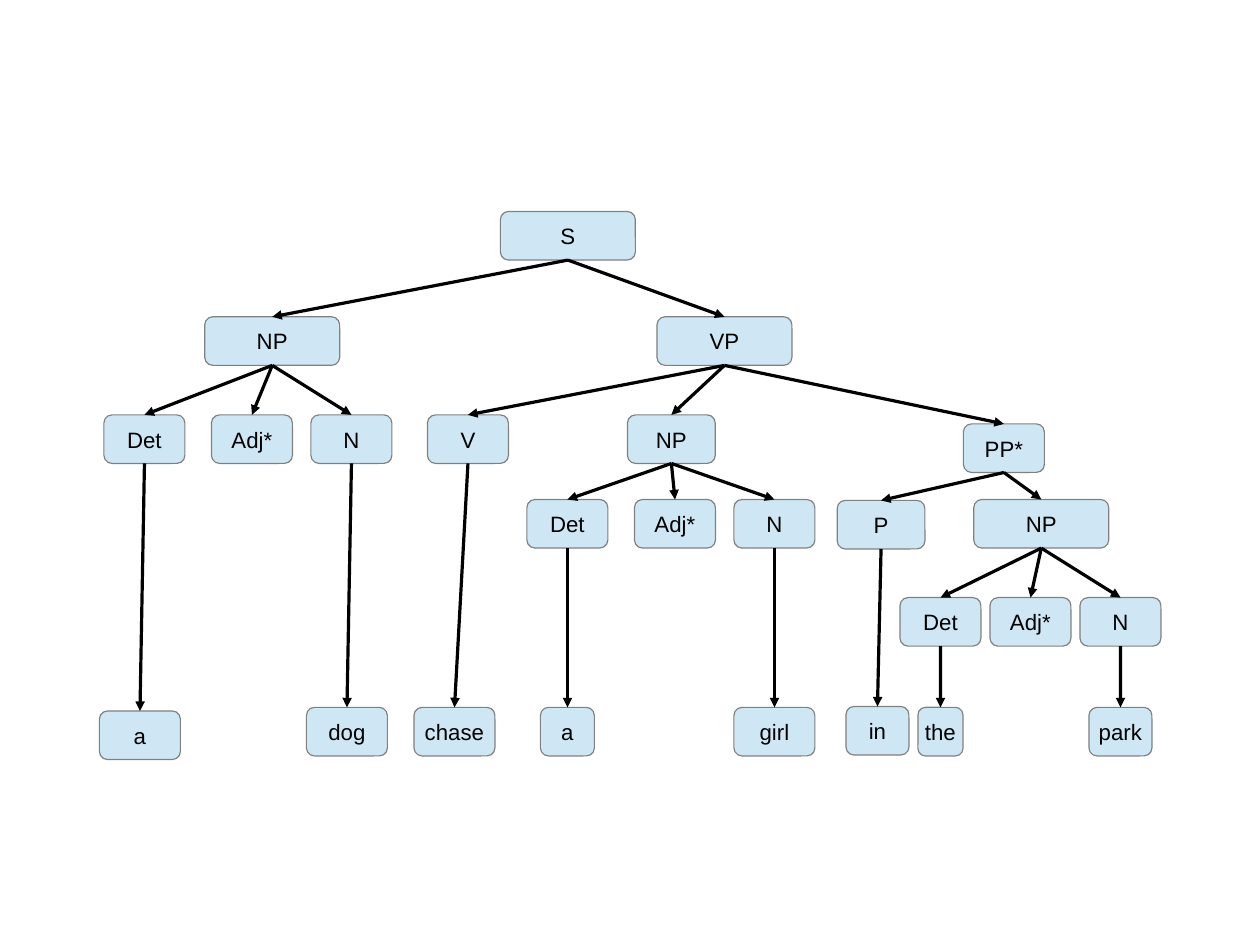
from dataclasses import dataclass

from lxml import etree
from pptx import Presentation
from pptx import util as u
from pptx.dml.color import RGBColor
from pptx.enum import shapes, text
from pptx.oxml import ns


@dataclass(frozen=True)
class Theme:
    fill: RGBColor = RGBColor(0xCF, 0xE7, 0xF5)
    outline: RGBColor = RGBColor(0x80, 0x80, 0x80)
    ink: RGBColor = RGBColor(0, 0, 0)
    font: str = "Arial"
    size: int = 14
    line: int = 0


@dataclass(frozen=True)
class Box:
    left: float
    top: float


@dataclass(frozen=True)
class Node:
    label: str
    center: float
    top: float
    width: float
    children: tuple = ()


THEME = Theme()
HEIGHT = 1.08
WIDE, MEDIUM, NARROW, SHORT, SMALL, TINY = 3, 1.95, 1.8, 1.4, 1.2, 1
CLAUSE, PHRASE, PART, INNER, DEEP, WORD = 0, 2.34, 4.52, 6.4, 8.58, 11.02


def word(label, center, width=NARROW, top=WORD):
    return Node(label, center, top, width)


def noun_phrase(center, top, width, parts_top, centers, determiner, noun):
    labels = ("Det", "Adj*", "N")
    words = ((determiner,), (), (noun,))
    parts = tuple(
        Node(label, middle, parts_top, NARROW, children)
        for label, middle, children in zip(labels, centers, words)
    )
    return Node("NP", center, top, width, parts)


SUBJECT = noun_phrase(
    3.85, PHRASE, WIDE, PART, (1.01, 3.4, 5.61),
    word("a", 0.91, top=11.1), word("dog", 5.51),
)
OBJECT = noun_phrase(
    12.72, PART, MEDIUM, INNER, (10.41, 12.8, 15.01),
    word("a", 10.41, SMALL), word("girl", 15.01),
)
PLACE = noun_phrase(
    20.94, INNER, WIDE, DEEP, (18.7, 20.7, 22.7),
    word("the", 18.7, TINY), word("park", 22.7, SHORT),
)
PREPOSITION = Node("P", 17.38, 6.42, MEDIUM, (word("in", 17.3, SHORT, 11),))
PREDICATE = Node("VP", 13.9, PHRASE, WIDE, (
    Node("V", 8.2, PART, NARROW, (word("chase", 7.9),)),
    OBJECT,
    Node("PP*", 20.11, 4.72, NARROW, (PREPOSITION, PLACE)),
))
SENTENCE = Node("S", 10.42, CLAUSE, WIDE, (SUBJECT, PREDICATE))


def apply_format(target, values):
    for name, value in values.items():
        setattr(target, name, value)


def draw_node(page, box, node):
    shape = page.shapes.add_shape(
        shapes.MSO_SHAPE.ROUNDED_RECTANGLE,
        u.Cm(box.left + node.center - node.width / 2),
        u.Cm(box.top + node.top), u.Cm(node.width), u.Cm(HEIGHT),
    )
    shape.shadow.inherit = False
    shape.fill.solid()
    shape.fill.fore_color.rgb = THEME.fill
    shape.line.color.rgb = THEME.outline
    shape.line.width = u.Pt(THEME.line)
    frame = shape.text_frame
    apply_format(frame, {
        "word_wrap": False,
        "vertical_anchor": text.MSO_ANCHOR.MIDDLE,
    })
    para = frame.paragraphs[0]
    para.alignment = text.PP_ALIGN.CENTER
    span = para.add_run()
    span.text = node.label
    apply_format(span.font, {"name": THEME.font, "size": u.Pt(THEME.size)})
    span.font.color.rgb = THEME.ink
    return shape


def draw_arrow(page, parent, child):
    arrow = page.shapes.add_connector(shapes.MSO_CONNECTOR.STRAIGHT, 0, 0, 0, 0)
    arrow.begin_connect(parent, 2)
    arrow.end_connect(child, 0)
    arrow.line.color.rgb = THEME.ink
    arrow.line.width = u.Pt(THEME.line)
    line = arrow.line._get_or_add_ln()
    etree.SubElement(line, ns.qn("a:tailEnd"), type="triangle")
    etree.SubElement(arrow._element.spPr, ns.qn("a:effectLst"))


def draw_tree(page, box, node):
    shape = draw_node(page, box, node)
    for child in node.children:
        draw_arrow(page, shape, draw_tree(page, box, child))
    return shape


def main():
    deck = Presentation()
    apply_format(deck, {"slide_width": u.Cm(28), "slide_height": u.Cm(21)})
    page = deck.slides.add_slide(deck.slide_layouts[6])
    draw_tree(page, Box(2.2, 4.7), SENTENCE)
    deck.save("out.pptx")


if __name__ == "__main__":
    main()
